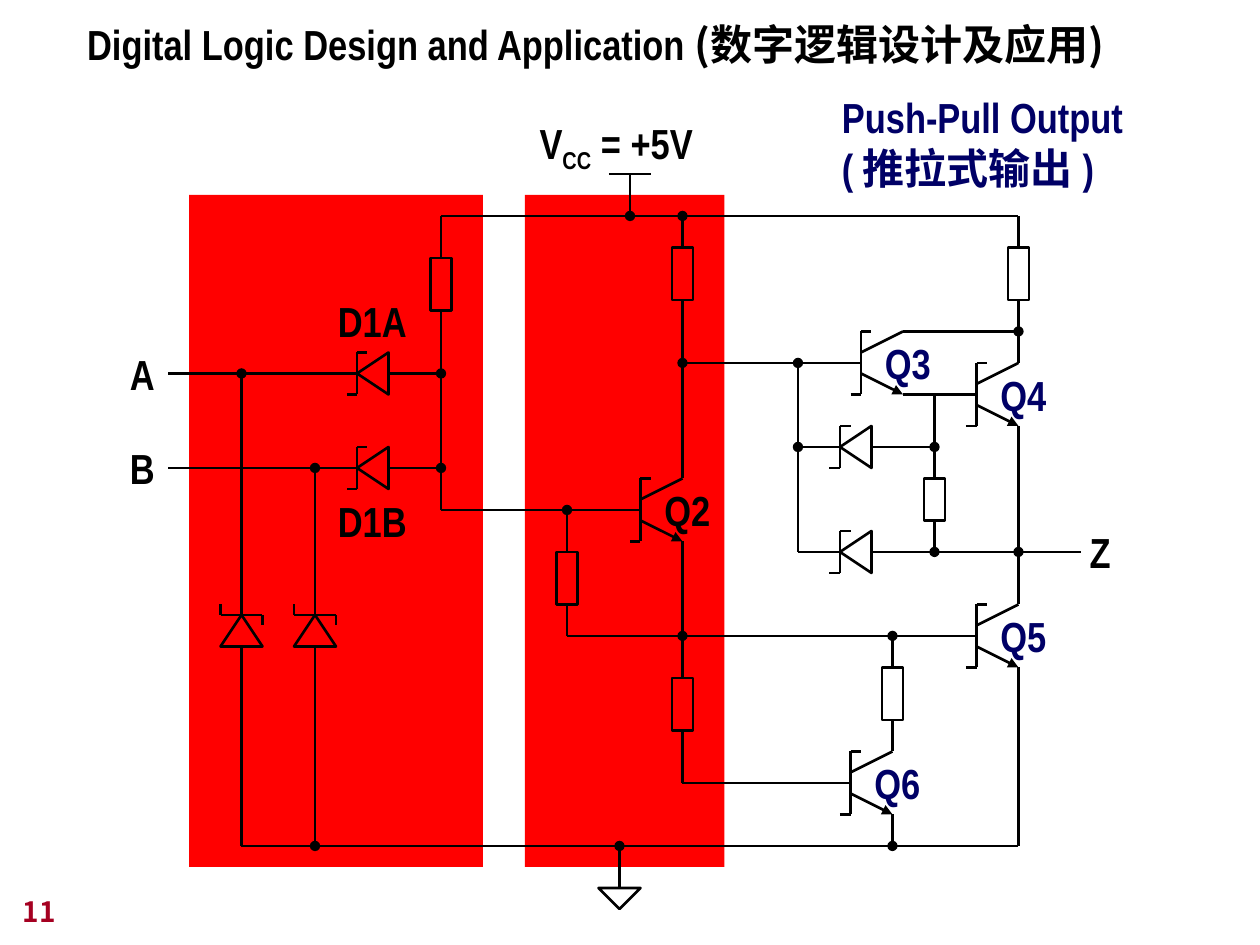
"""Build the slide with the push-pull output circuit of a logic gate."""
from lxml import etree
from pptx import Presentation
from pptx.dml.color import RGBColor
from pptx.enum.shapes import MSO_CONNECTOR, MSO_SHAPE
from pptx.enum.text import MSO_ANCHOR, MSO_AUTO_SIZE, PP_ALIGN
from pptx.oxml.ns import qn
from pptx.util import Cm, Pt

BLACK = RGBColor(0, 0, 0)
NAVY = RGBColor(0, 0, 0x66)
RED = RGBColor(0xFF, 0, 0)
WINE = RGBColor(0xA5, 0, 0x21)
RECT, TRI = MSO_SHAPE.RECTANGLE, MSO_SHAPE.ISOSCELES_TRIANGLE
LINE = MSO_CONNECTOR.STRAIGHT
TOP, LOW = MSO_ANCHOR.TOP, MSO_ANCHOR.BOTTOM
GROW, FIXED = MSO_AUTO_SIZE.SHAPE_TO_FIT_TEXT, MSO_AUTO_SIZE.NONE
LEFT = PP_ALIGN.LEFT
LATIN, HAN = "Arial Narrow", "Noto Sans CJK JP"
UNIT, DROP = 2.54 / 12, 0.12

TITLE = [[("Digital Logic Design and Application ", LATIN, 0), ("(数字逻辑设计及应用)", HAN, 0)]]
NOTE = [[("Push-Pull Output", LATIN, 0)], [("( 推拉式输出 )", LATIN, 0)]]
SUPPLY = [[("V", LATIN, 0), ("CC", LATIN, -25), (" = +5V", LATIN, 0)]]
NUMBER = [[("11", HAN, 0)]]

PANELS = [(18, 18, 28, 64), (50, 18, 19, 64)]
RESISTORS = [(42, 24, 5), (97, 23, 5), (89, 45, 4), (65, 23, 5),
             (54, 52, 5), (85, 63, 5), (65, 64, 5)]
DIODES = [(34, 35), (34, 44), (80, 42), (80, 52)]
CLAMPS = [(30, 58), (23, 58)]
GATES = [("Q2", 61, 45, BLACK), ("Q3", 82, 31, NAVY), ("Q4", 93, 34, NAVY),
         ("Q5", 93, 57, NAVY), ("Q6", 81, 71, NAVY)]
LABELS = [("A", 11.2, 32, 5), ("B", 11.2, 41, 5), ("Z", 102.6, 49, 4.6),
          ("D1A", 31, 27, 9.5), ("D1B", 31, 46, 9.5)]
WIRES = [
    (97, 34, 97, 28), (97, 40, 97, 57), (93, 37, 86, 37), (34, 35, 16, 35),
    (42, 29, 42, 48), (34, 44, 16, 44), (42, 20, 97, 20), (42, 20, 42, 24),
    (89, 37, 89, 45), (76, 52, 80, 52), (65, 28, 65, 45), (97, 23, 97, 20),
    (61, 48, 42, 48), (54, 57, 54, 60), (65, 51, 65, 64), (93, 60, 65, 60),
    (85, 68, 85, 71), (65, 69, 65, 74), (65, 74, 81, 74), (23, 80, 97, 80),
    (97, 63, 97, 80), (23, 80, 23, 61), (58, 16, 62, 16), (97, 52, 103, 52),
]
DOTTED = [
    (37, 44, 42, 44), (37, 35, 42, 35), (89, 49, 89, 52), (83, 42, 89, 42),
    (80, 42, 76, 42), (82, 34, 65, 34), (76, 52, 76, 34), (83, 52, 97, 52),
    (65, 23, 65, 20), (86, 31, 97, 31), (54, 52, 54, 48), (54, 60, 65, 60),
    (85, 63, 85, 60), (85, 77, 85, 80), (30, 58, 30, 44), (30, 61, 30, 80),
    (23, 58, 23, 35), (60, 16, 60, 20), (59, 84, 59, 80),
]


def span(n):
    return Cm(n * UNIT)


def down(n):
    return Cm(n * UNIT + DROP)


def draw(kind, x, y, w, h, fill=None):
    part = shapes.add_shape(kind, span(x), down(y), span(w), span(h))
    part.shadow.inherit = False
    if fill is None:
        part.fill.background()
        part.line.color.rgb = BLACK
        part.line.width = Pt(1.5)
    else:
        part.fill.solid()
        part.fill.fore_color.rgb = fill
        part.line.fill.background()
    return part


def wire(x1, y1, x2, y2, tip=None):
    part = shapes.add_connector(LINE, span(x1), down(y1), span(x2), down(y2))
    part.line.color.rgb = BLACK
    part.line.width = Pt(1.5)
    if tip:
        etree.SubElement(part.line._get_or_add_ln(), qn("a:tailEnd"), type=tip)
    etree.SubElement(part._element.spPr, qn("a:effectLst"))
    if (x1, y1) in ports:
        part.begin_connect(*ports[x1, y1])
    if (x2, y2) in ports:
        part.end_connect(*ports[x2, y2])


def write(paras, x, y, w, h=6, box=None, size=24, color=BLACK,
          wrap=False, fit=GROW, anchor=TOP):
    box = box or shapes.add_textbox(0, 0, 0, 0)
    box.left, box.top, box.width, box.height = span(x), down(y), span(w), span(h)
    frame = box.text_frame
    frame.word_wrap, frame.auto_size, frame.vertical_anchor = wrap, fit, anchor
    for i, runs in enumerate(paras):
        para = frame.add_paragraph() if i else frame.paragraphs[0]
        para.alignment = LEFT
        for text, face, base in runs:
            run = para.add_run()
            run.text = text
            font = run.font
            font.size, font.bold, font.name = Pt(size), True, face
            font.color.rgb = color
            props = run._r.get_or_add_rPr()
            etree.SubElement(props, qn("a:ea"), typeface=HAN)
            if base:
                props.set("baseline", str(base * 1000))


def gate(x, y):
    wire(x, y, x, y + 6)
    wire(x, y + 4, x + 4, y + 6, "triangle")
    wire(x, y + 2, x + 4, y)
    wire(x, y, x + 1, y)
    wire(x - 1, y + 6, x, y + 6)


def diode(x, y):
    part = draw(TRI, x - 0.5, y - 1.5, 4, 3)
    part.rotation = 270
    wire(x, y - 2, x, y + 2)
    wire(x, y - 2, x + 1, y - 2)
    wire(x, y + 2, x - 1, y + 2)


def clamp(x, y):
    draw(TRI, x - 2, y, 4, 3)
    wire(x - 2, y, x + 2, y)
    wire(x + 2, y, x + 2, y + 1)
    wire(x - 2, y, x - 2, y - 1)


deck = Presentation()
deck.slide_width, deck.slide_height = Cm(25.4), Cm(19.05)
slide = deck.slides.add_slide(deck.slide_layouts[5])
shapes = slide.shapes
ports = {}

for panel in PANELS:
    draw(RECT, *panel, fill=RED)
for x, y, h in RESISTORS:
    body = draw(RECT, x - 1, y, 2, h)
    ports[x, y], ports[x, y + h] = (body, 0), (body, 2)
for spot in DIODES:
    diode(*spot)
for spot in CLAMPS:
    clamp(*spot)
ground = draw(TRI, 57, 84, 4, 2)
ground.rotation = 180
for ends in WIRES:
    wire(*ends)
for ends in DOTTED:
    wire(*ends, tip="oval")
for name, x, y, color in GATES:
    gate(x, y)
    write([[(name, LATIN, 0)]], x + 1.1, y, 7.2, color=color)
for name, x, y, w in LABELS:
    write([[(name, LATIN, 0)]], x, y, w)

write(SUPPLY, 50.2, 10, 17.6, 6.7)
write(NOTE, 79, 7.6, 29.2, 10.8, color=NAVY)
write(TITLE, 7.1, 0.6, 101, box=shapes.title, wrap=True, fit=FIXED)
write(NUMBER, 1, 82.4, 25, size=16, color=WINE, wrap=True, fit=FIXED, anchor=LOW)
deck.save("out.pptx")
